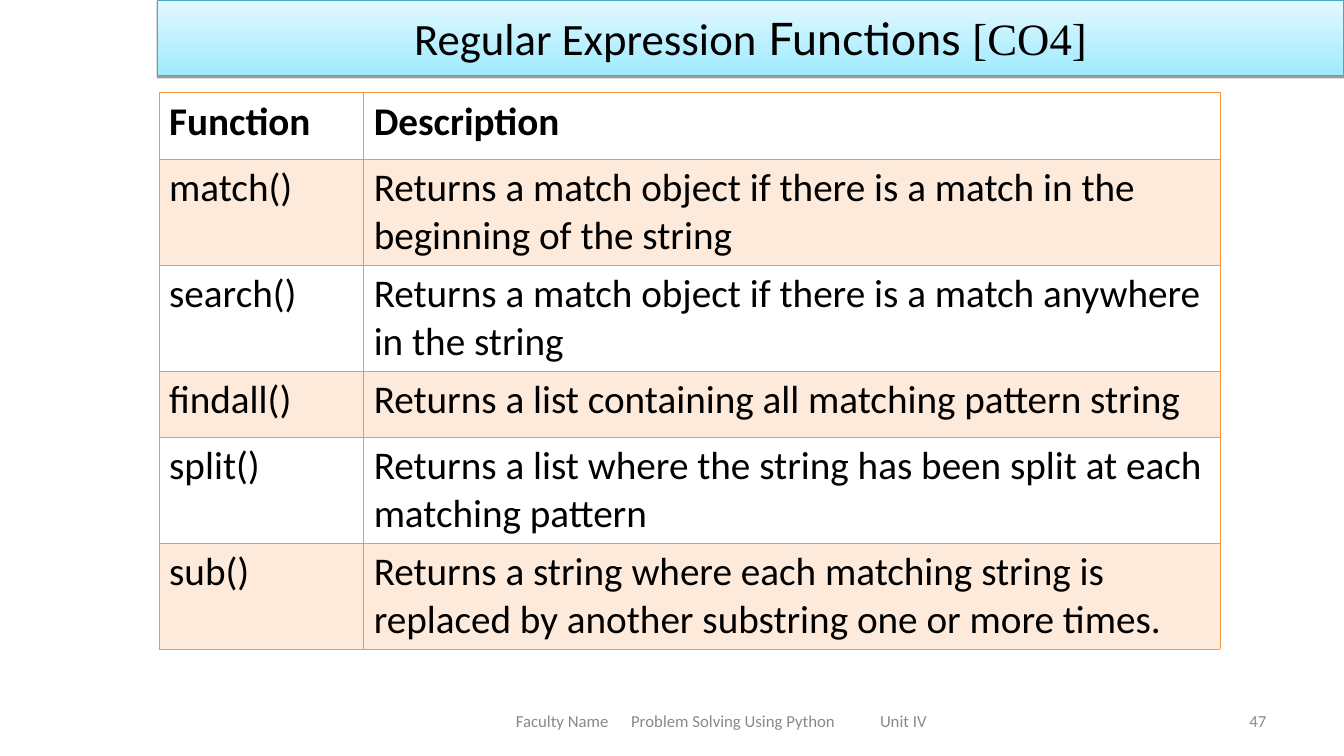
from lxml import etree
from pptx import Presentation
from pptx.dml.color import RGBColor
from pptx.enum.text import MSO_ANCHOR, MSO_AUTO_SIZE, PP_ALIGN
from pptx.oxml import parse_xml
from pptx.oxml.ns import nsdecls, qn
from pptx.util import Inches, Pt

MIDDLE, NO_AUTOFIT = MSO_ANCHOR.MIDDLE, MSO_AUTO_SIZE.NONE
LEFT, CENTER, RIGHT = PP_ALIGN.LEFT, PP_ALIGN.CENTER, PP_ALIGN.RIGHT

WIDTH, HEIGHT = Inches(13.34), Inches(7.5)
BLACK = RGBColor(0x00, 0x00, 0x00)
GRAY = RGBColor(0x89, 0x89, 0x89)
SKY = RGBColor(0x9E, 0xEA, 0xFF)
PALE_SKY = RGBColor(0xE4, 0xF9, 0xFF)
TEAL = RGBColor(0x46, 0xAA, 0xC5)
ORANGE = RGBColor(0xF7, 0x96, 0x46)
PEACH = RGBColor(0xFD, 0xEA, 0xDA)

TITLE_FORMAT = {"size": Pt(32), "bold": False}
CELL_FORMAT = {"size": Pt(28), "name": "Calibri", "bold": False}
HEADER_FORMAT = {**CELL_FORMAT, "bold": True}
FOOTER_FORMAT = {"size": Pt(12), "name": "Calibri"}

TITLE_PARTS = [
    ("Regular Expression", "Calibri"),
    (" Functions ", "Lato"),
    ("[CO4]", "Times New Roman"),
]
COLUMN_SHARES = (15.22, 63.72)
ONE_LINE, TWO_LINES = 8.8, 14
FUNCTIONS = [
    (ONE_LINE, "Function", "Description"),
    (TWO_LINES, "match()", "Returns a match object if there is a match in the beginning of the string"),
    (TWO_LINES, "search()", "Returns a match object if there is a match anywhere in the string"),
    (ONE_LINE, "findall()", "Returns a list containing all matching pattern string"),
    (TWO_LINES, "split()", "Returns a list where the string has been split at each matching pattern"),
    (TWO_LINES, "sub()", "Returns a string where each matching string is replaced by another substring one or more times."),
]
FOOTER_TOP, FOOTER_HEIGHT = 92.67, 5.33
FOOTER_INDENT, FOOTER_TABS = 5.25, (8.58, 27.1)


def across(percent):
    return round(WIDTH * percent / 100)


def down(percent):
    return round(HEIGHT * percent / 100)


def area(left, top, width, height):
    return across(left), down(top), across(width), down(height)


def format_font(font, settings, color):
    for attribute, value in settings.items():
        setattr(font, attribute, value)
    font.color.rgb = color


def add_title(slide):
    title = slide.shapes.title
    title.left, title.top, title.width, title.height = area(11.69, 0, 88.31, 10)
    title.fill.gradient()
    title.fill.gradient_angle = 90
    for stop, color in zip(title.fill.gradient_stops, (SKY, PALE_SKY)):
        stop.color.rgb = color
    title.line.color.rgb = TEAL
    title.line.width = Pt(0.75)
    title.element.spPr.append(parse_xml(
        f'<a:effectLst {nsdecls("a")}><a:outerShdw blurRad="0" dist="20320" dir="5400000" '
        'rotWithShape="0"><a:srgbClr val="000000"><a:alpha val="38000"/></a:srgbClr>'
        '</a:outerShdw></a:effectLst>'))
    frame = title.text_frame
    frame.auto_size = NO_AUTOFIT
    frame.vertical_anchor = MIDDLE
    paragraph = frame.paragraphs[0]
    paragraph.alignment = CENTER
    for text, font_name in TITLE_PARTS:
        run = paragraph.add_run()
        run.text = text
        format_font(run.font, {**TITLE_FORMAT, "name": font_name}, BLACK)


def add_border(cell, side, width):
    properties = cell._tc.get_or_add_tcPr()
    border = etree.SubElement(properties, qn(f"a:ln{side}"), w=str(Pt(width)))
    fill = etree.SubElement(border, qn("a:solidFill"))
    etree.SubElement(fill, qn("a:srgbClr"), val=str(ORANGE))


def fill_cell(cell, text, row):
    thick_sides = {0: "B", 1: "T"}
    for side in "LRTB":
        add_border(cell, side, 0.96 if thick_sides.get(row) == side else 0.45)
    if row % 2:
        cell.fill.solid()
        cell.fill.fore_color.rgb = PEACH
    else:
        cell.fill.background()
    cell.text = text
    run = cell.text_frame.paragraphs[0].runs[0]
    format_font(run.font, CELL_FORMAT if row else HEADER_FORMAT, BLACK)


def add_function_table(slide):
    table_height = sum(share for share, *_ in FUNCTIONS)
    table = slide.shapes.add_table(
        len(FUNCTIONS), len(COLUMN_SHARES),
        *area(11.84, 12.27, sum(COLUMN_SHARES), table_height)).table
    table.first_row = table.horz_banding = False
    for column, share in zip(table.columns, COLUMN_SHARES):
        column.width = across(share)
    for row, (share, *texts) in enumerate(FUNCTIONS):
        table.rows[row].height = down(share)
        for column, text in enumerate(texts):
            fill_cell(table.cell(row, column), text, row)


def add_footer_text(slide, left, width, text, alignment, indent=None, tabs=()):
    box = slide.shapes.add_textbox(*area(left, FOOTER_TOP, width, FOOTER_HEIGHT))
    frame = box.text_frame
    frame.word_wrap = True
    frame.vertical_anchor = MIDDLE
    if indent:
        frame.margin_left = across(indent)
    paragraph = frame.paragraphs[0]
    paragraph.alignment = alignment
    if tabs:
        tab_list = etree.SubElement(paragraph._p.get_or_add_pPr(), qn("a:tabLst"))
        for tab in tabs:
            etree.SubElement(tab_list, qn("a:tab"), pos=str(across(tab)), algn="l")
    run = paragraph.add_run()
    run.text = text
    format_font(run.font, FOOTER_FORMAT, GRAY)


def main():
    presentation = Presentation()
    presentation.slide_width, presentation.slide_height = WIDTH, HEIGHT
    slide = presentation.slides.add_slide(presentation.slide_layouts[5])
    add_footer_text(slide, 71.66, 23.31, "47", RIGHT)
    add_title(slide)
    add_footer_text(slide, 33.13, 41.23, "Faculty Name\tProblem Solving Using Python\tUnit IV",
                    LEFT, FOOTER_INDENT, FOOTER_TABS)
    add_function_table(slide)
    presentation.save("out.pptx")


if __name__ == "__main__":
    main()
